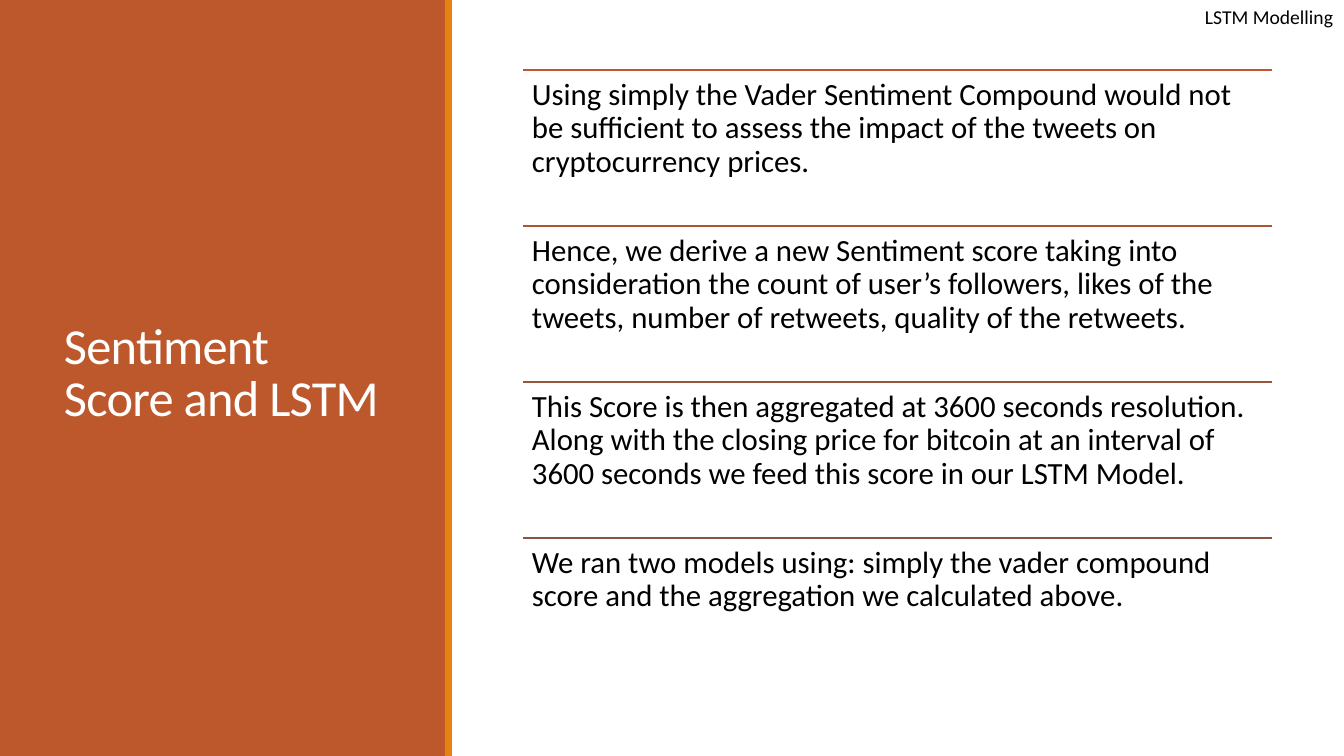
from lxml import etree
from pptx import Presentation
from pptx import util as u
from pptx.dml.color import RGBColor
from pptx.enum import shapes, text
from pptx.oxml.ns import qn

EMU_PER_PX = 914400 / 100.8
SLIDE_WIDTH, SLIDE_HEIGHT = 1344, 756
FONT = "Calibri"
COLORS = {
    "panel": "BD582C",
    "stripe": "E48312",
    "white": "FFFFFF",
    "black": "000000",
}

# Each statement sits under a rule of its own colour
STATEMENTS = [
    ("BD582C", "Using simply the Vader Sentiment Compound would not be sufficient "
               "to assess the impact of the tweets on cryptocurrency prices."),
    ("AA5834", "Hence, we derive a new Sentiment score taking into consideration "
               "the count of user’s followers, likes of the tweets, number of "
               "retweets, quality of the retweets."),
    ("97573A", "This Score is then aggregated at 3600 seconds resolution. Along "
               "with the closing price for bitcoin at an interval of 3600 seconds "
               "we feed this score in our LSTM Model."),
    ("865640", "We ran two models using: simply the vader compound score and the "
               "aggregation we calculated above."),
]
LIST_LEFT, LIST_TOP, LIST_WIDTH, ROW_HEIGHT = 523, 70, 749, 156


def px(length):
    return u.Emu(round(length * EMU_PER_PX))


def add_bar(page, left, width, color):
    bar = page.shapes.add_shape(
        shapes.MSO_SHAPE.RECTANGLE, px(left), 0, px(width), px(SLIDE_HEIGHT))
    bar.shadow.inherit = False
    bar.fill.solid()
    bar.fill.fore_color.rgb = RGBColor.from_string(color)
    bar.line.fill.background()


def add_rule(page, left, top, width, color):
    rule = page.shapes.add_connector(
        shapes.MSO_CONNECTOR.STRAIGHT, px(left), px(top), px(left + width), px(top))
    rule.line.color.rgb = RGBColor.from_string(color)
    rule.line.width = u.Pt(1.25)
    etree.SubElement(rule._element.spPr, qn("a:effectLst"))


def add_text(page, left, top, width, height, words, size, color,
             line_spacing=1.0, anchor=text.MSO_ANCHOR.TOP, wrap=True):
    box = page.shapes.add_textbox(px(left), px(top), px(width), px(height))
    frame = box.text_frame
    frame.word_wrap = wrap
    frame.vertical_anchor = anchor
    frame.text = words
    para = frame.paragraphs[0]
    para.line_spacing = line_spacing
    span = para.runs[0]
    span.font.name = FONT
    span.font.size = u.Pt(size)
    span.font.color.rgb = RGBColor.from_string(color)
    return box


def add_statement(page, top, color, words):
    add_rule(page, LIST_LEFT, top, LIST_WIDTH, color)
    box = add_text(page, LIST_LEFT, top, LIST_WIDTH, ROW_HEIGHT, words, 22,
                   COLORS["black"], line_spacing=0.9)
    frame = box.text_frame
    frame.margin_left = frame.margin_right = px(9)
    frame.margin_top = frame.margin_bottom = px(9)


def main():
    deck = Presentation()
    deck.slide_width, deck.slide_height = px(SLIDE_WIDTH), px(SLIDE_HEIGHT)
    page = deck.slides.add_slide(deck.slide_layouts[6])

    # Title panel with its stripe
    add_bar(page, 0, 446, COLORS["panel"])
    title = add_text(page, 54, 57, 340, 636, "Sentiment Score and LSTM", 36,
                     COLORS["white"], line_spacing=0.85,
                     anchor=text.MSO_ANCHOR.MIDDLE)
    title_span = title.text_frame.paragraphs[0].runs[0]
    title_span.font._element.set("spc", "-50")
    add_bar(page, 445, 7, COLORS["stripe"])

    # Statements
    for row, (color, words) in enumerate(STATEMENTS):
        add_statement(page, LIST_TOP + row * ROW_HEIGHT, color, words)

    # Section label
    add_text(page, 1195, 0, 149, 34, "LSTM Modelling", 14, COLORS["black"],
             wrap=False)

    deck.save("out.pptx")


if __name__ == "__main__":
    main()
